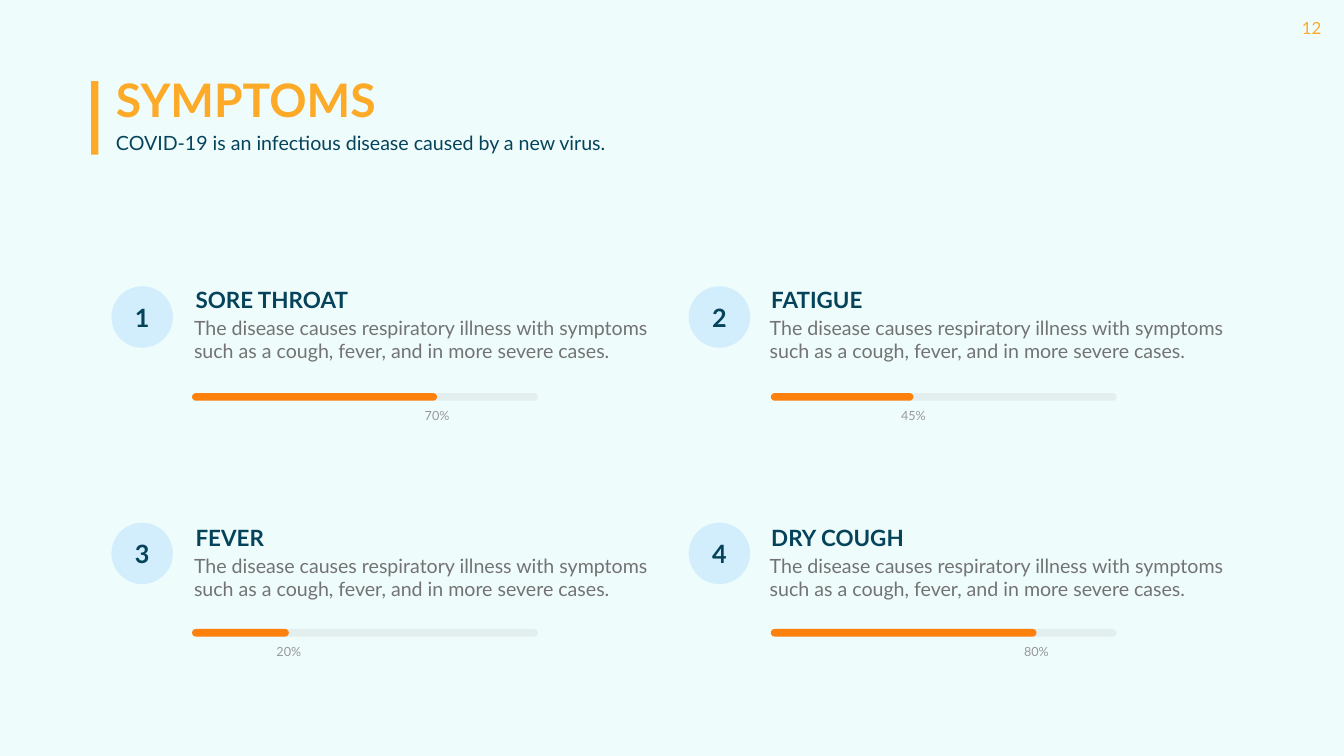
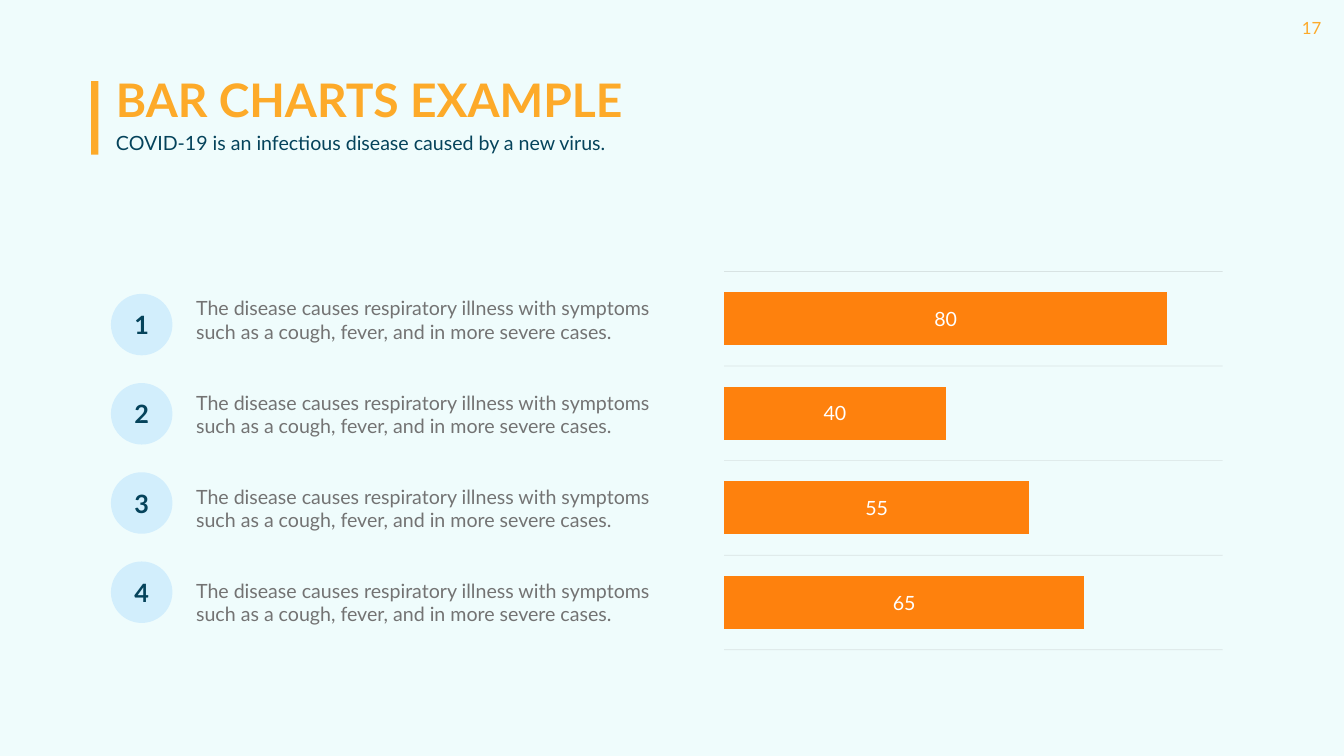
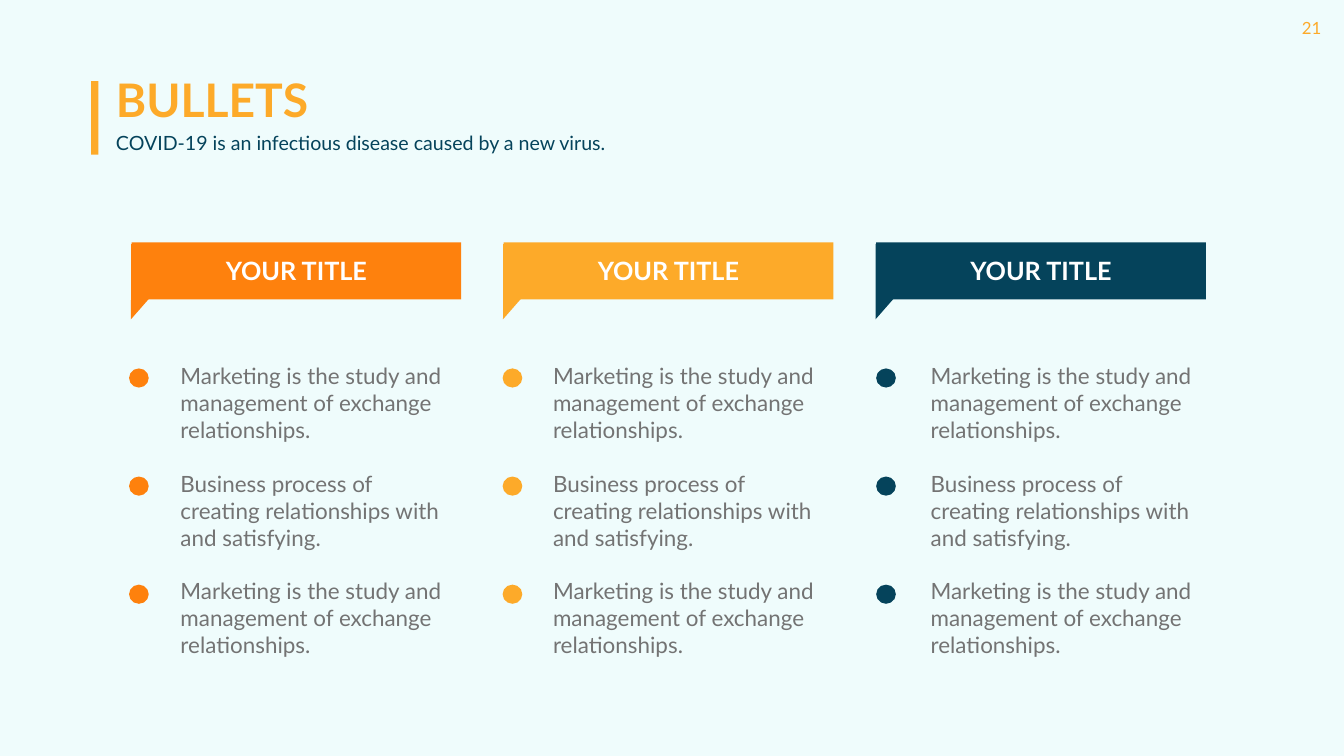
"""Build three slides on symptoms, a bar chart and bullet columns."""
from dataclasses import dataclass
from typing import Any, NamedTuple

import lxml.etree
import pptx
import pptx.chart.data
import pptx.dml.color
import pptx.enum.chart
import pptx.enum.shapes
import pptx.enum.text
import pptx.oxml.ns
import pptx.util

Inches = pptx.util.Inches
Pt = pptx.util.Pt
qn = pptx.oxml.ns.qn
SHAPE = pptx.enum.shapes.MSO_SHAPE
ALIGN = pptx.enum.text.PP_ALIGN
ANCHOR = pptx.enum.text.MSO_ANCHOR


class Style(NamedTuple):
    size: int
    color: str
    bold: bool = False


@dataclass(frozen=True)
class Theme:
    font: str = "Lato"
    background: str = "EFFCFC"
    orange: str = "FE810D"
    amber: str = "FDAA29"
    navy: str = "05435B"
    badge: str = "D2EEFC"
    gray: str = "808080"
    title: Style = Style(66, "FDAA29", True)
    subtitle: Style = Style(28, "05435B")
    page: Style = Style(24, "FDAA29")
    heading: Style = Style(32, "05435B", True)
    body: Style = Style(28, "737373")
    bullet: Style = Style(32, "737373")
    number: Style = Style(36, "05435B", True)
    banner: Style = Style(36, "FFFFFF", True)
    percent: Style = Style(18, "999999")
    chart: Style = Style(28, "999999")
    value: Style = Style(28, "FFFFFF")


class Box(NamedTuple):
    left: float
    top: float
    width: float
    height: float


class Track(NamedTuple):
    badge: float
    text: float
    bar: float


class Symptom(NamedTuple):
    name: str
    share: str
    filled: float
    column: Track
    row: Track


class BulletColumn(NamedTuple):
    color: str
    banner: float
    text: float
    dot: float


THEME = Theme()
SUBTITLE = "COVID-19 is an infectious disease caused by a new virus."
DISEASE = ("The disease causes respiratory illness with symptoms such as a cough, "
           "fever, and in more severe cases.")
MARKETING = "Marketing is the study and management of exchange relationships."
PROCESS = "Business process of creating relationships with and satisfying."
LEFT, RIGHT = Track(2.21, 3.75, 3.81), Track(13.66, 15.17, 15.29)
UPPER, LOWER = Track(5.68, 5.62, 7.8), Track(10.37, 10.35, 12.48)
SYMPTOMS = (
    Symptom("SORE THROAT", "70%", 4.86, LEFT, UPPER),
    Symptom("FATIGUE", "45%", 2.83, RIGHT, UPPER),
    Symptom("FEVER", "20%", 1.92, LEFT, LOWER),
    Symptom("DRY COUGH", "80%", 5.27, RIGHT, LOWER),
)
BULLET_COLUMNS = (
    BulletColumn(THEME.orange, 2.61, 3.48, 2.56),
    BulletColumn(THEME.amber, 9.99, 10.87, 9.97),
    BulletColumn(THEME.navy, 17.38, 18.36, 17.38),
)


def set_all(target: Any, values: dict[str, Any]) -> None:
    for name, value in values.items():
        setattr(target, name, value)


def rgb(color: str) -> pptx.dml.color.RGBColor:
    return pptx.dml.color.RGBColor.from_string(color)


def style_font(font: Any, style: Style) -> None:
    set_all(font, {"name": THEME.font, "size": Pt(style.size), "bold": style.bold})
    font.color.rgb = rgb(style.color)


def set_alpha(element: Any, percent: int) -> None:
    for color in element.iter(qn("a:srgbClr")):
        lxml.etree.SubElement(color, qn("a:alpha")).set("val", str(percent * 1000))


def place(sp: Any, box: Box) -> None:
    set_all(sp, {name: Inches(value) for name, value in box._asdict().items()})


def write(sp: Any, texts: tuple[str, ...], style: Style, align: Any = ALIGN.LEFT,
          anchor: Any = ANCHOR.TOP, wrap: bool = True, gap: float = 0) -> None:
    tf = sp.text_frame
    set_all(tf, {"word_wrap": wrap, "vertical_anchor": anchor,
                 "auto_size": pptx.enum.text.MSO_AUTO_SIZE.NONE})
    for i, text in enumerate(texts):
        p = tf.add_paragraph() if i else tf.paragraphs[0]
        if sp.is_placeholder:
            pPr = p._p.get_or_add_pPr()
            pPr.set("marL", "0")
            pPr.set("indent", "0")
            lxml.etree.SubElement(pPr, qn("a:buNone"))
        set_all(p, {"alignment": align, "space_before": Pt(gap if i else 0)})
        r = p.add_run()
        r.text = text
        style_font(r.font, style)


def add_text(s: Any, box: Box, text: str, style: Style, align: Any = ALIGN.LEFT) -> None:
    sp = s.shapes.add_textbox(*map(Inches, box))
    write(sp, (text,), style, align)


def add_filled(s: Any, kind: Any, box: Box, color: str) -> Any:
    sp = s.shapes.add_shape(kind, *map(Inches, box))
    sp.shadow.inherit = False
    sp.fill.solid()
    sp.fill.fore_color.rgb = rgb(color)
    sp.line.fill.background()
    return sp


def add_badge(s: Any, left: float, top: float, number: int) -> None:
    sp = add_filled(s, SHAPE.OVAL, Box(left, top, 1.22, 1.22), THEME.badge)
    write(sp, (str(number),), THEME.number, ALIGN.CENTER, ANCHOR.MIDDLE, wrap=False)


def add_bar(s: Any, left: float, top: float, width: float, color: str) -> Any:
    sp = add_filled(s, SHAPE.ROUNDED_RECTANGLE, Box(left, top, width, 0.15), color)
    sp.adjustments[0] = 0.5
    return sp


def add_slide(prs: Any, layout: str, title: str, page: int) -> Any:
    s = prs.slides.add_slide(prs.slide_layouts.get_by_name(layout))
    add_filled(s, SHAPE.RECTANGLE, Box(1.81, 1.61, 0.14, 1.46), THEME.amber)
    place(s.shapes.title, Box(2.2, 1.36, 11.58, 1.21))
    write(s.shapes.title, (title,), THEME.title)
    subtitle = s.placeholders[1]
    place(subtitle, Box(2.2, 2.55, 10.03, 0.57))
    write(subtitle, (SUBTITLE,), THEME.subtitle)
    add_text(s, Box(25.54, 0.3, 0.96, 0.5), str(page), THEME.page, ALIGN.CENTER)
    return s


def add_symptom(s: Any, number: int, item: Symptom) -> None:
    column, row = item.column, item.row
    add_badge(s, column.badge, row.badge, number)
    add_text(s, Box(column.text + 0.03, row.text, 5.35, 0.64), item.name, THEME.heading)
    add_text(s, Box(column.text, row.text + 0.59, 9.28, 1.04), DISEASE, THEME.body)
    track = add_bar(s, column.bar, row.bar, 6.86, THEME.gray)
    set_alpha(track._element.spPr, 10)
    add_bar(s, column.bar, row.bar, item.filled, THEME.orange)
    add_text(s, Box(column.bar + item.filled - 0.55, row.bar + 0.24, 1.1, 0.4),
             item.share, THEME.percent, ALIGN.CENTER)


def add_bar_chart(s: Any, box: Box) -> None:
    data = pptx.chart.data.CategoryChartData()
    data.categories = ["1", "2", "3", "4"]
    data.add_series("Series 1", (65, 55, 40, 80))
    chart = s.shapes.add_chart(pptx.enum.chart.XL_CHART_TYPE.BAR_STACKED,
                               *map(Inches, box), data).chart
    set_all(chart, {"has_legend": False, "has_title": False})
    style_font(chart.font, THEME.chart)
    plot = chart.plots[0]
    set_all(plot, {"gap_width": 79, "overlap": 100, "vary_by_categories": False,
                   "has_data_labels": True})
    set_all(plot.data_labels, {"show_value": True,
                               "position": pptx.enum.chart.XL_LABEL_POSITION.CENTER})
    style_font(plot.data_labels.font, THEME.value)
    fill = plot.series[0].format.fill
    fill.solid()
    fill.fore_color.rgb = rgb(THEME.orange)
    set_all(chart.value_axis, {"visible": False, "has_major_gridlines": False,
                               "minimum_scale": 0, "maximum_scale": 90})
    set_all(chart.category_axis, {"visible": False, "has_major_gridlines": True})
    grid = chart.category_axis.major_gridlines
    grid.format.line.width = Pt(1)
    grid.format.line.color.rgb = rgb(THEME.gray)
    set_alpha(chart.category_axis._element.find(qn("c:majorGridlines")), 20)


def add_bullet_column(s: Any, column: BulletColumn, body: Any) -> None:
    tail = add_filled(s, SHAPE.ISOSCELES_TRIANGLE,
                      Box(column.banner - 0.29, 4.98, 1.05, 1.4), column.color)
    tail.rotation = 200.7
    banner = add_filled(s, SHAPE.RECTANGLE, Box(column.banner, 4.81, 6.54, 1.13),
                        column.color)
    write(banner, ("YOUR TITLE",), THEME.banner, ALIGN.CENTER, ANCHOR.MIDDLE)
    place(body, Box(column.text, 7.14, 5.56, 6.02))
    write(body, (MARKETING, PROCESS, MARKETING), THEME.bullet, gap=38.4)
    for i in range(3):
        add_filled(s, SHAPE.OVAL, Box(column.dot, 7.31 + 2.145 * i, 0.39, 0.38),
                   column.color)


def build_symptoms(prs: Any) -> None:
    s = add_slide(prs, "Title and Content", "SYMPTOMS", 12)
    for number, item in enumerate(SYMPTOMS, 1):
        add_symptom(s, number, item)


def build_bar_chart(prs: Any) -> None:
    s = add_slide(prs, "Two Content", "BAR CHARTS EXAMPLE", 17)
    add_bar_chart(s, Box(14.16, 5.23, 10.3, 7.82))
    body = s.placeholders[2]
    place(body, Box(3.79, 5.83, 9.54, 6.7))
    write(body, (DISEASE,) * 4, THEME.body, gap=67.2)
    for i in range(4):
        add_badge(s, 2.2, 5.83 + 1.77 * i, i + 1)


def build_bullets(prs: Any) -> None:
    s = add_slide(prs, "Comparison", "BULLETS", 21)
    for i, column in enumerate(BULLET_COLUMNS, 2):
        add_bullet_column(s, column, s.placeholders[i])


def main() -> None:
    prs = pptx.Presentation()
    set_all(prs, {"slide_width": Inches(26.66), "slide_height": Inches(15)})
    fill = prs.slide_master.background.fill
    fill.solid()
    fill.fore_color.rgb = rgb(THEME.background)
    build_symptoms(prs)
    build_bar_chart(prs)
    build_bullets(prs)
    prs.save("out.pptx")


if __name__ == "__main__":
    main()
